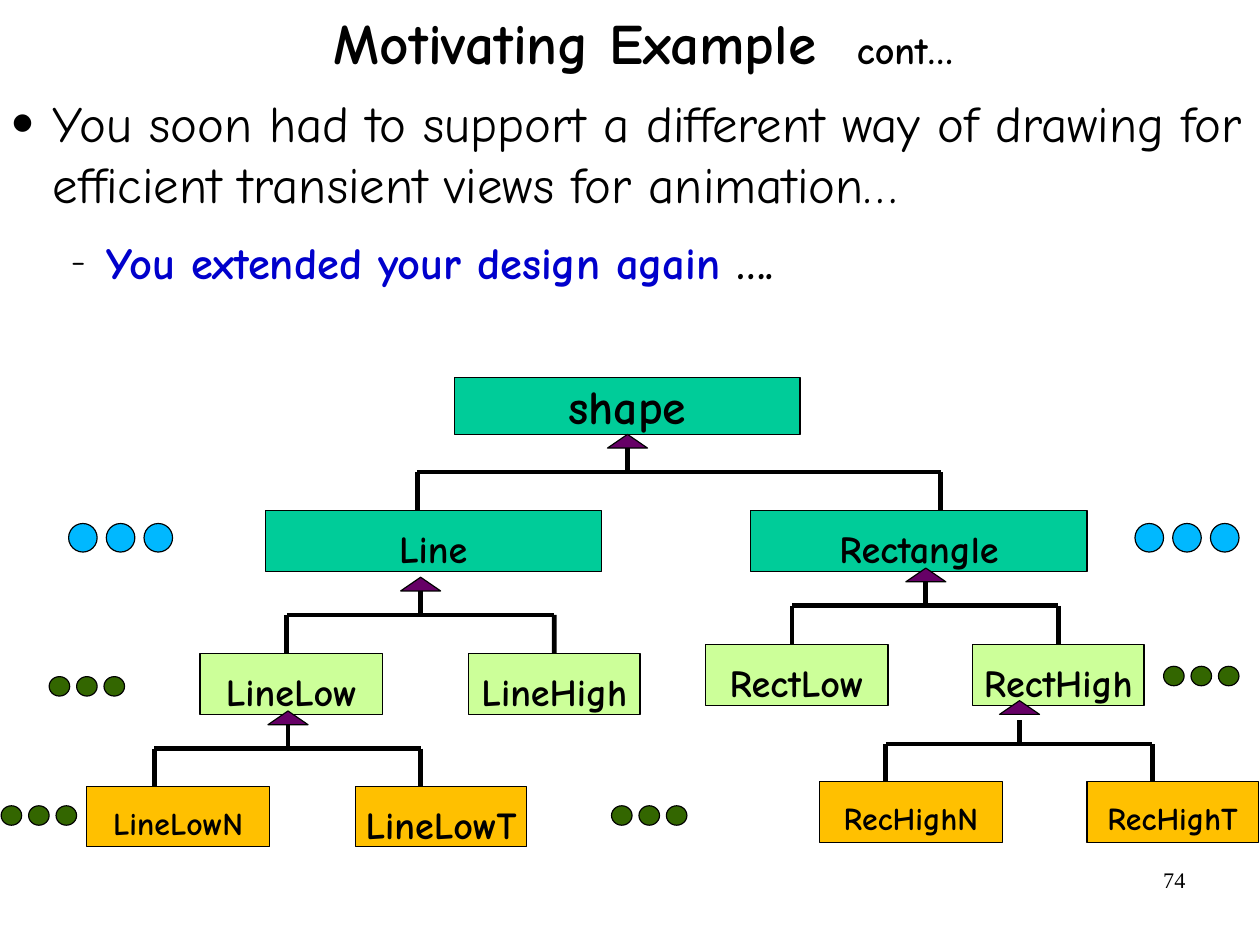
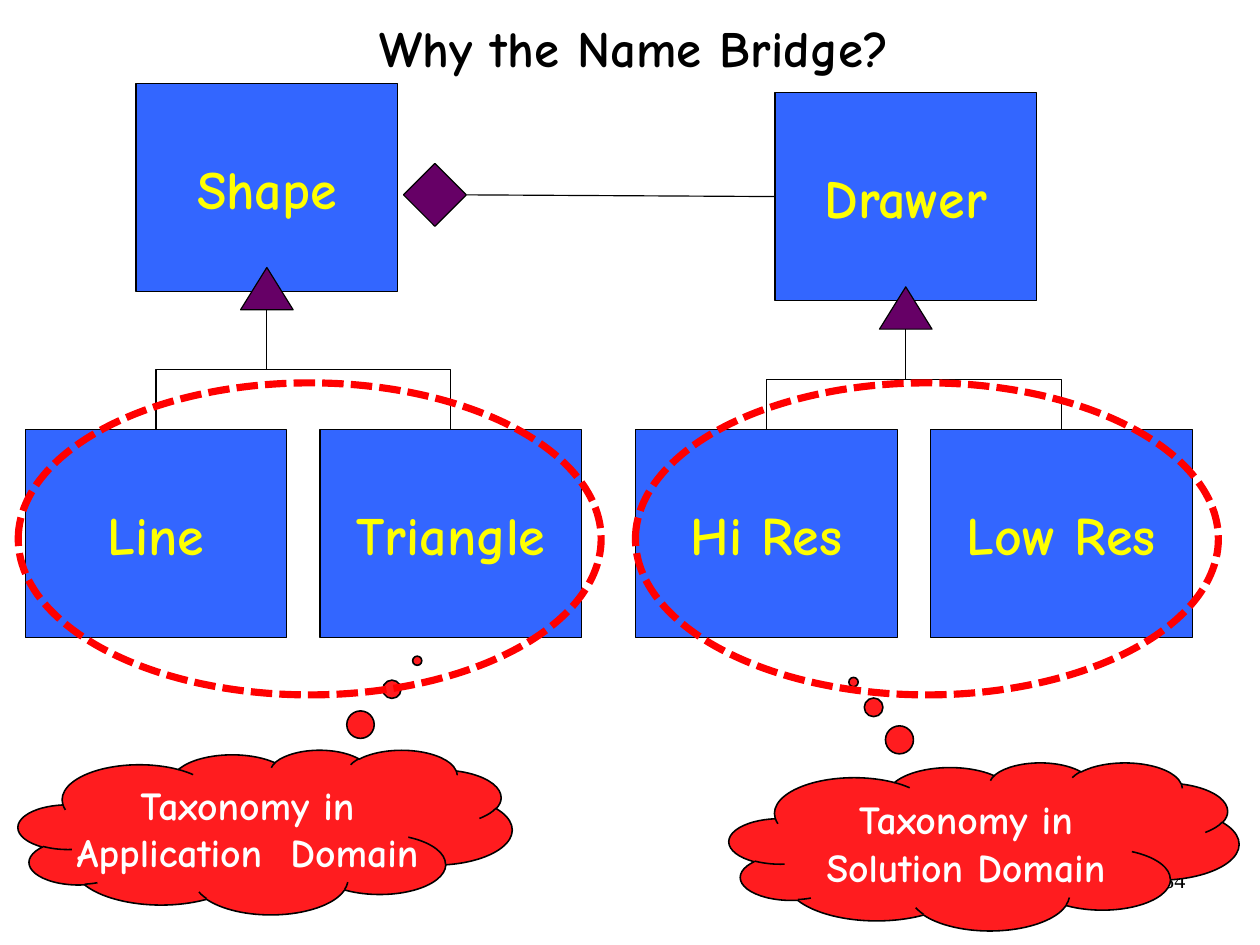
from dataclasses import dataclass

from lxml import etree
from pptx import Presentation
from pptx import util as u
from pptx.dml import color
from pptx.enum import dml, shapes, text
from pptx.oxml import ns

COLORS = {
    "ink": "000000", "white": "FFFFFF", "marker": "660066", "accent": "0000CC",
    "teal": "00CC99", "lime": "CCFF99", "amber": "FFC000", "sky": "00B8FF",
    "moss": "336600", "blue": "3366FF", "yellow": "FFFF00", "cloud": "FF1C1F",
    "red": "FF0000",
}
COMIC = "Comic Neue"
SERIF = "Times New Roman"
SHAPE = shapes.MSO_SHAPE
CENTER = text.PP_ALIGN.CENTER
MIDDLE = text.MSO_ANCHOR.MIDDLE
TRIO = range(3)
CM_PER_INCH = 2.54


@dataclass(frozen=True)
class ClassBox:
    name: str
    left: float
    top: float
    width: float
    height: float
    fill: str
    size: int
    ink: str = "ink"
    top_inset: float = 0.06
    bottom_inset: float = 0.06


@dataclass(frozen=True)
class Branch:
    apex: float
    arrow_top: float
    bar: float
    feet: tuple[tuple[float, str], ...]


@dataclass(frozen=True)
class Dots:
    left: float
    top: float
    width: float
    height: float
    pitch: float
    fill: str


@dataclass(frozen=True)
class Family:
    parent: str
    left: float
    top: float
    arrow_top: float
    children: tuple[str, str]
    children_left: float


@dataclass(frozen=True)
class Domain:
    lines: tuple[str, str]
    cloud: tuple[float, float, float, float]
    pointer: tuple[float, float]
    ring_left: float


def rgb(name: str) -> color.RGBColor:
    return color.RGBColor.from_string(COLORS[name])


def set_font(font, size: float, ink: str = "ink", bold: bool = True, name: str = COMIC) -> None:
    font.name, font.size, font.bold = name, u.Pt(size), bold
    font.color.rgb = rgb(ink)


def set_insets(frame, sides: float, top: float, bottom: float) -> None:
    frame.margin_left = frame.margin_right = u.Inches(sides)
    frame.margin_top, frame.margin_bottom = u.Inches(top), u.Inches(bottom)


def add_frame(slide, left: float, top: float, width: float, height: float):
    box = slide.shapes.add_textbox(*map(u.Inches, (left, top, width, height)))
    box.text_frame.word_wrap = True
    return box.text_frame


def add_figure(slide, kind, left: float, top: float, width: float, height: float,
               fill: str | None, line: str = "ink", weight: float = 0.75):
    figure = slide.shapes.add_shape(kind, *map(u.Inches, (left, top, width, height)))
    figure.shadow.inherit = False
    if fill:
        figure.fill.solid()
        figure.fill.fore_color.rgb = rgb(fill)
    else:
        figure.fill.background()
    figure.line.color.rgb = rgb(line)
    figure.line.width = u.Pt(weight)
    return figure


def add_line(slide, x1: float, y1: float, x2: float, y2: float, weight: float,
             kind=shapes.MSO_CONNECTOR.STRAIGHT):
    line = slide.shapes.add_connector(kind, *map(u.Inches, (x1, y1, x2, y2)))
    line.line.color.rgb = rgb("ink")
    line.line.width = u.Pt(weight)
    etree.SubElement(line._element.spPr, ns.qn("a:effectLst"))
    return line


def add_elbow(slide, foot: float, foot_y: float, apex: float, apex_y: float) -> None:
    elbow = add_line(slide, 0, 0, 1, 1, 0.75, shapes.MSO_CONNECTOR.ELBOW)
    length, breadth = foot_y - apex_y, abs(apex - foot)
    elbow.left = u.Inches((foot + apex - length) / 2)
    elbow.top = u.Inches((foot_y + apex_y - breadth) / 2)
    elbow.width, elbow.height = u.Inches(length), u.Inches(breadth)
    xfrm = elbow._element.spPr.find(ns.qn("a:xfrm"))
    xfrm.set("rot", str((270 if foot < apex else 90) * 60000))
    if foot > apex:
        xfrm.set("flipH", "1")


def add_class_box(slide, box: ClassBox):
    figure = add_figure(slide, SHAPE.RECTANGLE, box.left, box.top, box.width, box.height, box.fill)
    frame = figure.text_frame
    frame.word_wrap = False
    frame.vertical_anchor = MIDDLE
    set_insets(frame, 0.11, box.top_inset, box.bottom_inset)
    label = frame.paragraphs[0]
    label.text = box.name
    label.alignment = CENTER
    set_font(label.font, box.size, box.ink)
    return figure


def add_title(slide, heading: str, size: int, left: float, top: float, height: float):
    frame = add_frame(slide, left, top, 9.4, height)
    title = frame.paragraphs[0]
    title.alignment = CENTER
    title.line_spacing = 0.88
    set_font(title.font, size)
    title.add_run().text = heading
    return frame


def add_page(deck, number: int):
    slide = deck.slides.add_slide(deck.slide_layouts[6])
    page = add_frame(slide, 7.9, 7.53, 2.57, 0.57).paragraphs[0]
    page.text = str(number)
    page.alignment = text.PP_ALIGN.RIGHT
    set_font(page.font, 14, bold=False, name=SERIF)
    return slide


def set_bullet(paragraph, char: str, percent: int, left: float, hang: float, after: float) -> None:
    paragraph.space_after = u.Pt(after)
    props = paragraph._p.get_or_add_pPr()
    props.set("marL", str(u.Inches(left)))
    props.set("indent", str(u.Inches(-hang)))
    tint = etree.SubElement(props, ns.qn("a:buClr"))
    etree.SubElement(tint, ns.qn("a:srgbClr")).set("val", COLORS["ink"])
    etree.SubElement(props, ns.qn("a:buSzPct")).set("val", str(percent * 1000))
    etree.SubElement(props, ns.qn("a:buFont")).set("typeface", COMIC)
    etree.SubElement(props, ns.qn("a:buChar")).set("char", char)


def add_branch(slide, branch: Branch, boxes: dict) -> None:
    arrow_width, arrow_height, trunk, weight = 0.35, 0.12, 0.21, 3
    add_figure(slide, SHAPE.ISOSCELES_TRIANGLE, branch.apex - arrow_width / 2,
               branch.arrow_top, arrow_width, arrow_height, "marker")
    add_line(slide, branch.apex, branch.bar - trunk, branch.apex, branch.bar, weight)
    add_line(slide, branch.feet[0][0], branch.bar, branch.feet[-1][0], branch.bar, weight)
    for foot, name in branch.feet:
        child = boxes[name]
        drop = add_line(slide, foot, branch.bar, foot, child.top.inches, weight)
        if abs(child.left.inches + child.width.inches / 2 - foot) < 0.02:
            drop.end_connect(child, 0)


def build_motivation(deck) -> None:
    slide = add_page(deck, 74)
    heading = add_title(slide, "Motivating Example  ", 36, 0.93, -0.28, 1.37)
    set_insets(heading, 0, 0, 0)
    heading.vertical_anchor = MIDDLE
    suffix = heading.paragraphs[0].add_run()
    suffix.text = "cont…"
    suffix.font.size = u.Pt(24)

    body = add_frame(slide, 0, 0.8, 11.02, 6.5)
    set_insets(body, 0, 0, 0)
    need = body.paragraphs[0]
    need.text = ("You soon had to support a different way of drawing for "
                 "efficient transient views for animation…")
    set_bullet(need, "●", 45, 0.46, 0.35, 13.8)
    set_font(need.font, 32, bold=False)
    answer = body.add_paragraph()
    answer.level = 1
    set_bullet(answer, "−", 75, 0.93, 0.31, 10.9)
    set_font(answer.font, 28)
    for words, ink in (("You extended your design again ", "accent"), ("….", "ink")):
        run = answer.add_run()
        run.text = words
        run.font.color.rgb = rgb(ink)

    rows = (
        ("Line", 2.32, 4.47, 2.94, "teal", 24),
        ("Rectangle", 6.57, 4.47, 2.94, "teal", 24),
        ("LineLow", 1.75, 5.72, 1.6, "lime", 24),
        ("LineHigh", 4.1, 5.72, 1.5, "lime", 24),
        ("RectLow", 6.17, 5.64, 1.6, "lime", 24),
        ("RectHigh", 8.51, 5.64, 1.5, "lime", 24),
        ("LineLowN", 0.76, 6.88, 1.6, "amber", 20),
        ("LineLowT", 3.11, 6.88, 1.5, "amber", 24),
        ("RecHighN", 7.17, 6.84, 1.6, "amber", 20),
        ("RecHighT", 9.51, 6.84, 1.5, "amber", 20),
    )
    boxes = {"shape": add_class_box(slide, ClassBox("shape", 3.98, 3.3, 3.02, 0.5, "teal", 30))}
    for name, left, top, width, fill, size in rows:
        inset = 0.13 if size == 24 else 0.1
        boxes[name] = add_class_box(
            slide, ClassBox(name, left, top, width, 0.53, fill, size, "ink", inset, 0))

    for branch in (
        Branch(5.49, 3.8, 4.13, ((3.65, "Line"), (8.23, "Rectangle"))),
        Branch(3.68, 5.05, 5.38, ((2.51, "LineLow"), (4.85, "LineHigh"))),
        Branch(8.1, 4.97, 5.3, ((6.93, "RectLow"), (9.26, "RectHigh"))),
        Branch(2.52, 6.22, 6.55, ((1.35, "LineLowN"), (3.68, "LineLowT"))),
        Branch(8.92, 6.13, 6.51, ((7.75, "RecHighN"), (10.08, "RecHighT"))),
    ):
        add_branch(slide, branch, boxes)

    sky = [Dots(left, 4.58, 0.25, 0.25, 0.33, "sky") for left in (0.6, 9.93)]
    moss = [Dots(left, top, 0.18, 0.17, 0.24, "moss")
            for left, top in ((0.43, 5.92), (10.18, 5.83), (5.35, 7.05), (0.01, 7.05))]
    for dots in sky + moss:
        for index in TRIO:
            add_figure(slide, SHAPE.OVAL, dots.left + index * dots.pitch, dots.top,
                       dots.width, dots.height, dots.fill)


def add_family(slide, family: Family):
    width, height, children_top, pitch = 2.29, 1.82, 3.76, 2.58
    arrow_width, arrow_height = 0.46, 0.37

    def add_member(name: str, left: float, top: float):
        return add_class_box(
            slide, ClassBox(name, left, top, width, height, "blue", 34, "yellow"))

    parent = add_member(family.parent, family.left, family.top)
    apex = family.left + width / 2
    add_figure(slide, SHAPE.ISOSCELES_TRIANGLE, apex - arrow_width / 2, family.arrow_top,
               arrow_width, arrow_height, "marker")
    for index, name in enumerate(family.children):
        left = family.children_left + index * pitch
        add_member(name, left, children_top)
        add_elbow(slide, left + width / 2, children_top, apex, family.arrow_top + arrow_height)
    return parent


def add_domain(slide, domain: Domain) -> None:
    cloud = add_figure(slide, SHAPE.CLOUD_CALLOUT, *domain.cloud, "cloud", weight=1)
    for index, value in enumerate(domain.pointer):
        cloud.adjustments[index] = value
    frame = cloud.text_frame
    frame.word_wrap = False
    frame.vertical_anchor = MIDDLE
    set_insets(frame, 0.11, 0.05, 0.05)
    frame.text = "\n".join(domain.lines)
    for line in frame.paragraphs:
        line.alignment = CENTER
        set_font(line.font, 25, "white")
    ring = add_figure(slide, SHAPE.OVAL, domain.ring_left, 3.35, 5.1, 2.73, None, "red", 4.5)
    ring.line.dash_style = dml.MSO_LINE.SQUARE_DOT


def build_bridge(deck) -> None:
    slide = add_page(deck, 84)
    add_family(slide, Family("Shape", 1.19, 0.73, 2.34, ("Line", "Triangle"), 0.22))
    drawer = add_family(slide, Family("Drawer", 6.78, 0.81, 2.51, ("Hi Res", "Low Res"), 5.56))
    diamond = add_figure(slide, SHAPE.DIAMOND, 3.53, 1.43, 0.55, 0.55, "marker")
    bridge = add_line(slide, 4.08, 1.7, 6.78, 1.72, 0.75)
    bridge.begin_connect(diamond, 3)
    bridge.end_connect(drawer, 1)
    for domain in (
        Domain(("Taxonomy in", "Application  Domain"), (0.16, 6.56, 4.32, 1.44),
               (0.308, -1.041), 0.16),
        Domain(("Taxonomy in", "Solution Domain"), (6.38, 6.67, 4.46, 1.47),
               (-0.256, -0.978), 5.56),
    ):
        add_domain(slide, domain)
    add_title(slide, "Why the Name Bridge?", 32, 0.85, 0.17, 0.97)


def main() -> None:
    deck = Presentation()
    deck.slide_width = u.Inches(28 / CM_PER_INCH)
    deck.slide_height = u.Inches(21 / CM_PER_INCH)
    build_motivation(deck)
    build_bridge(deck)
    deck.save("out.pptx")


if __name__ == "__main__":
    main()
